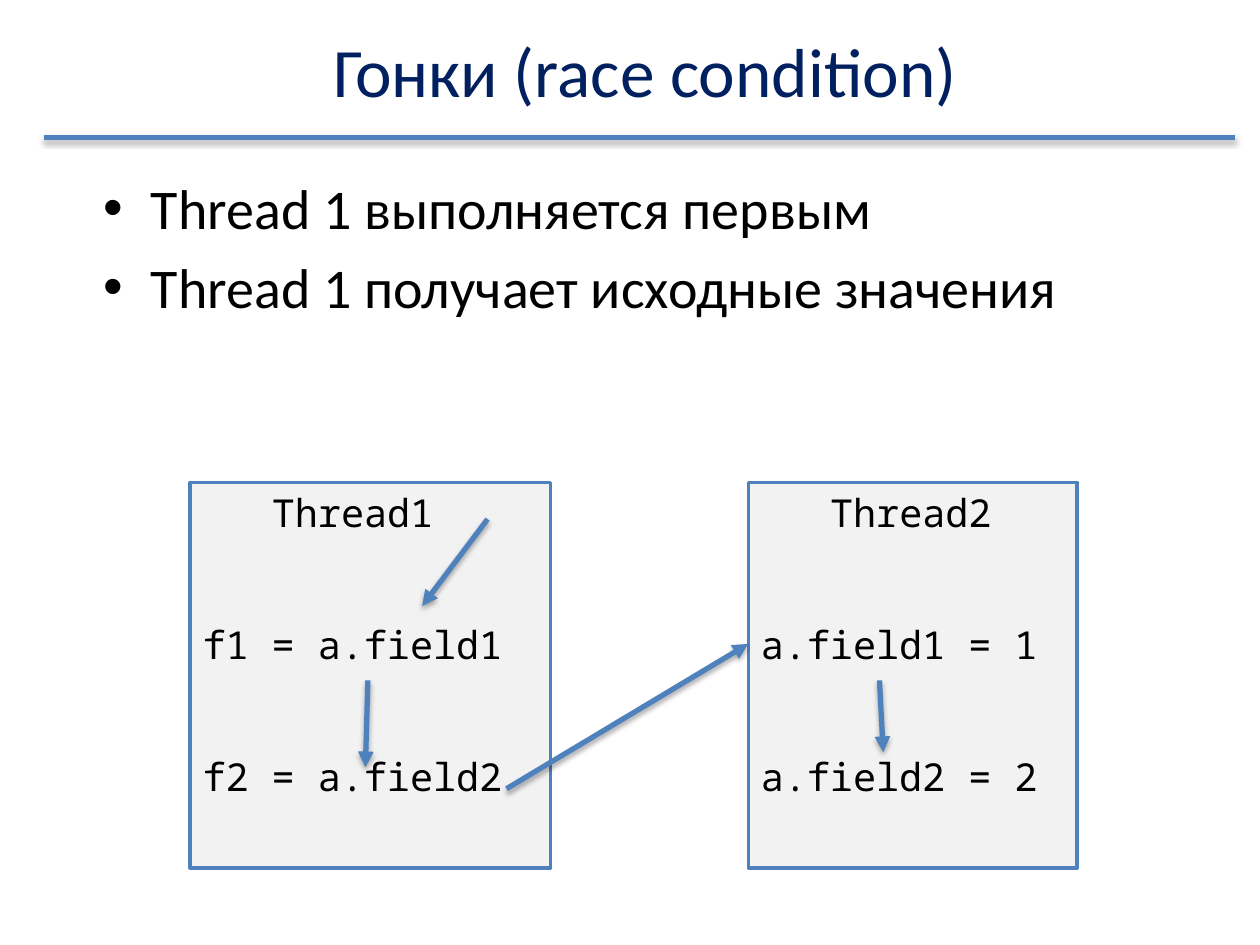
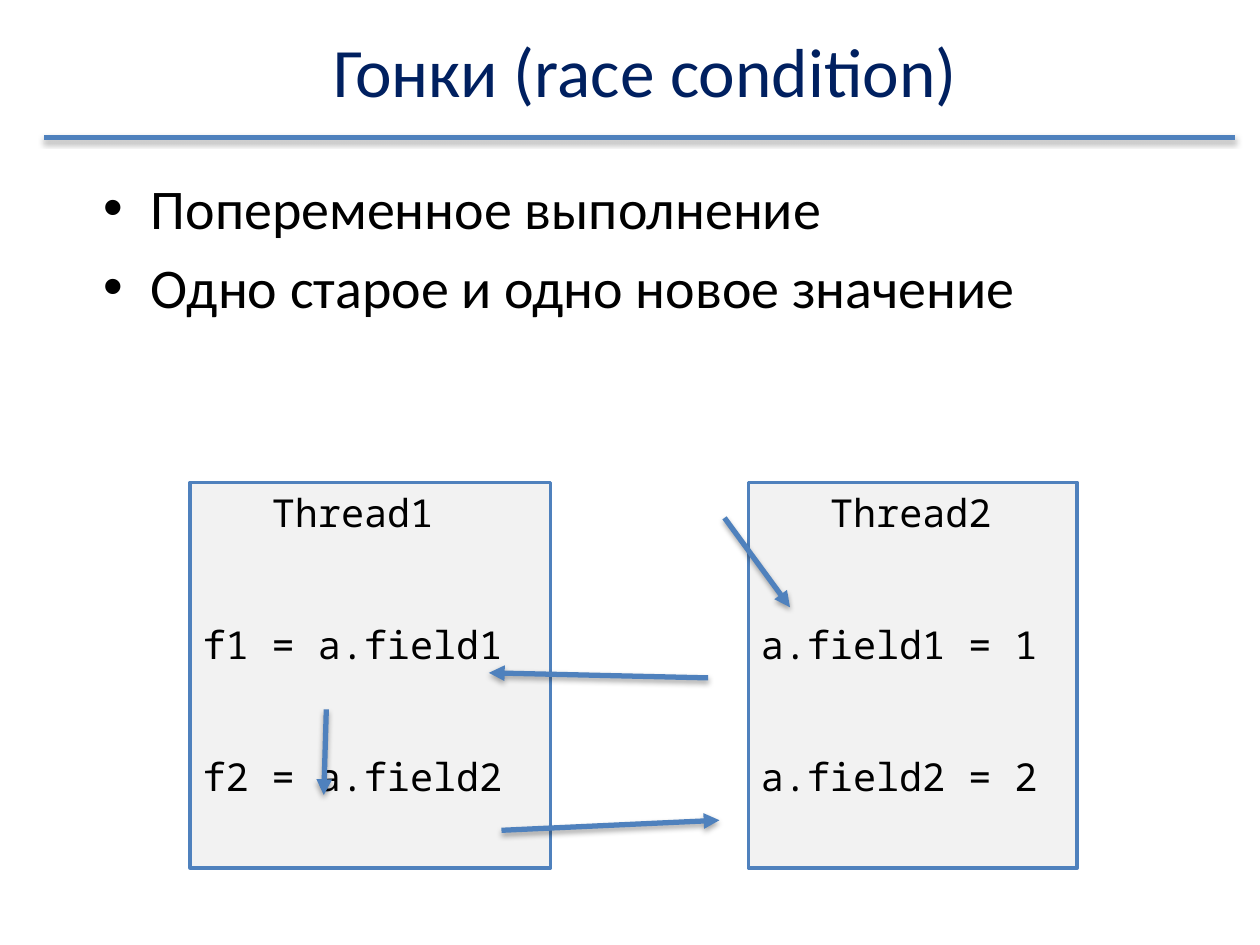
"""Build two slides that show thread interleavings in a race condition."""
import pptx
import pptx.dml.color
import pptx.enum.shapes
import pptx.enum.text
import pptx.oxml
import pptx.oxml.ns
import pptx.util

Inches = pptx.util.Inches
Pt = pptx.util.Pt
RGBColor = pptx.dml.color.RGBColor
Anchor = pptx.enum.text.MSO_ANCHOR
Align = pptx.enum.text.PP_ALIGN

NAVY = RGBColor(0x00, 0x20, 0x60)
BLUE = RGBColor(0x4F, 0x81, 0xBD)
PALE = RGBColor(0xF2, 0xF2, 0xF2)
BLACK = RGBColor(0x00, 0x00, 0x00)
TEXT_FONT = "Calibri"
CODE_FONT = "Noto Sans Mono"
TITLE = "Гонки (race condition)"
BOX_TOP, BOX_HEIGHT = 3.83, 3.06
THREADS = [
    (1.51, 2.86, ["Thread1", "f1 = a.field1", "f2 = a.field2"]),
    (5.94, 2.61, ["Thread2", "a.field1 = 1", "a.field2 = 2"]),
]
SLIDES = [
    (
        ["Thread 1 выполняется первым", "Thread 1 получает исходные значения"],
        [
            ((3.87, 4.12), (3.35, 4.81)),
            ((4.02, 6.26), (5.94, 5.11)),
            ((2.92, 5.4), (2.9, 6.09)),
            ((6.98, 5.4), (7.01, 5.97)),
        ],
    ),
    (
        ["Попеременное выполнение", "Одно старое и одно новое значение"],
        [
            ((5.75, 4.11), (6.27, 4.82)),
            ((5.62, 5.38), (3.88, 5.34)),
            ((2.59, 5.63), (2.57, 6.31)),
            ((3.98, 6.59), (5.71, 6.51)),
        ],
    ),
]
SHADOW_XML = (
    f'<a:effectLst {pptx.oxml.ns.nsdecls("a")}>'
    '<a:outerShdw blurRad="40000" dist="23000" dir="5400000" rotWithShape="0">'
    '<a:srgbClr val="000000"><a:alpha val="35000"/></a:srgbClr>'
    "</a:outerShdw></a:effectLst>"
)
ARROWHEAD_XML = f'<a:tailEnd {pptx.oxml.ns.nsdecls("a")} type="triangle"/>'
BULLET_XML = (
    f'<a:buFont {pptx.oxml.ns.nsdecls("a")} typeface="Arial"/>',
    f'<a:buChar {pptx.oxml.ns.nsdecls("a")} char="•"/>',
)


def write_text(shape, lines, *, size, font=TEXT_FONT, color=BLACK,
               align=Align.LEFT, anchor=Anchor.TOP, gap=0):
    """Fill a shape with one paragraph per line, gap points apart."""
    frame = shape.text_frame
    frame.word_wrap = True
    frame.vertical_anchor = anchor
    for index, line in enumerate(lines):
        paragraph = frame.add_paragraph() if index else frame.paragraphs[0]
        paragraph.alignment = align
        paragraph.space_before = Pt(gap if index else 0)
        run = paragraph.add_run()
        run.text = line
        run.font.size = Pt(size)
        run.font.name = font
        run.font.color.rgb = color
    return frame.paragraphs


def set_indent(paragraph, left, first=0):
    """Indent a paragraph and its first line by lengths in inches."""
    properties = paragraph._p.get_or_add_pPr()
    properties.set("marL", str(Inches(left)))
    properties.set("indent", str(Inches(first)))
    return properties


def add_text_box(slide, left, top, width, height):
    """Add an empty text box placed in inches."""
    return slide.shapes.add_textbox(
        Inches(left), Inches(top), Inches(width), Inches(height))


def add_line(slide, start, end, arrow=True):
    """Draw a shadowed blue line, with an arrowhead at its end by default."""
    connector = slide.shapes.add_connector(
        pptx.enum.shapes.MSO_CONNECTOR.STRAIGHT,
        *(Inches(value) for value in (*start, *end)))
    connector.line.color.rgb = BLUE
    connector.line.width = Pt(3)
    properties = connector.element.spPr
    if arrow:
        line = properties.find(pptx.oxml.ns.qn("a:ln"))
        line.append(pptx.oxml.parse_xml(ARROWHEAD_XML))
    properties.append(pptx.oxml.parse_xml(SHADOW_XML))


def add_header(slide):
    """Add the shared rule and title."""
    add_line(slide, (0.35, 1.09), (9.8, 1.09), arrow=False)
    write_text(add_text_box(slide, 0.59, 0.16, 9.06, 0.79), [TITLE],
               size=39.6, color=NAVY, align=Align.CENTER, anchor=Anchor.MIDDLE)


def add_bullets(slide, lines):
    """Add the bulleted body text."""
    body = add_text_box(slide, 0.72, 1.33, 8.84, 5.55)
    for paragraph in write_text(body, lines, size=32, gap=6.4):
        properties = set_indent(paragraph, 0.38, -0.38)
        for xml in BULLET_XML:
            properties.append(pptx.oxml.parse_xml(xml))


def add_thread(slide, left, width, lines):
    """Add a box with a thread's name above its statements."""
    box = slide.shapes.add_shape(
        pptx.enum.shapes.MSO_SHAPE.RECTANGLE,
        Inches(left), Inches(BOX_TOP), Inches(width), Inches(BOX_HEIGHT))
    box.shadow.inherit = False
    box.fill.solid()
    box.fill.fore_color.rgb = PALE
    box.line.color.rgb = BLUE
    box.line.width = Pt(2)
    paragraphs = write_text(box, lines, size=22, font=CODE_FONT, gap=49)
    set_indent(paragraphs[0], 0.55)


def main():
    """Build and save the presentation."""
    presentation = pptx.Presentation()
    presentation.slide_width = Inches(10)
    presentation.slide_height = Inches(7.5)
    for bullets, arrows in SLIDES:
        slide = presentation.slides.add_slide(presentation.slide_layouts[6])
        add_header(slide)
        add_bullets(slide, bullets)
        for thread in THREADS:
            add_thread(slide, *thread)
        for start, end in arrows:
            add_line(slide, start, end)
    presentation.save("out.pptx")


if __name__ == "__main__":
    main()
